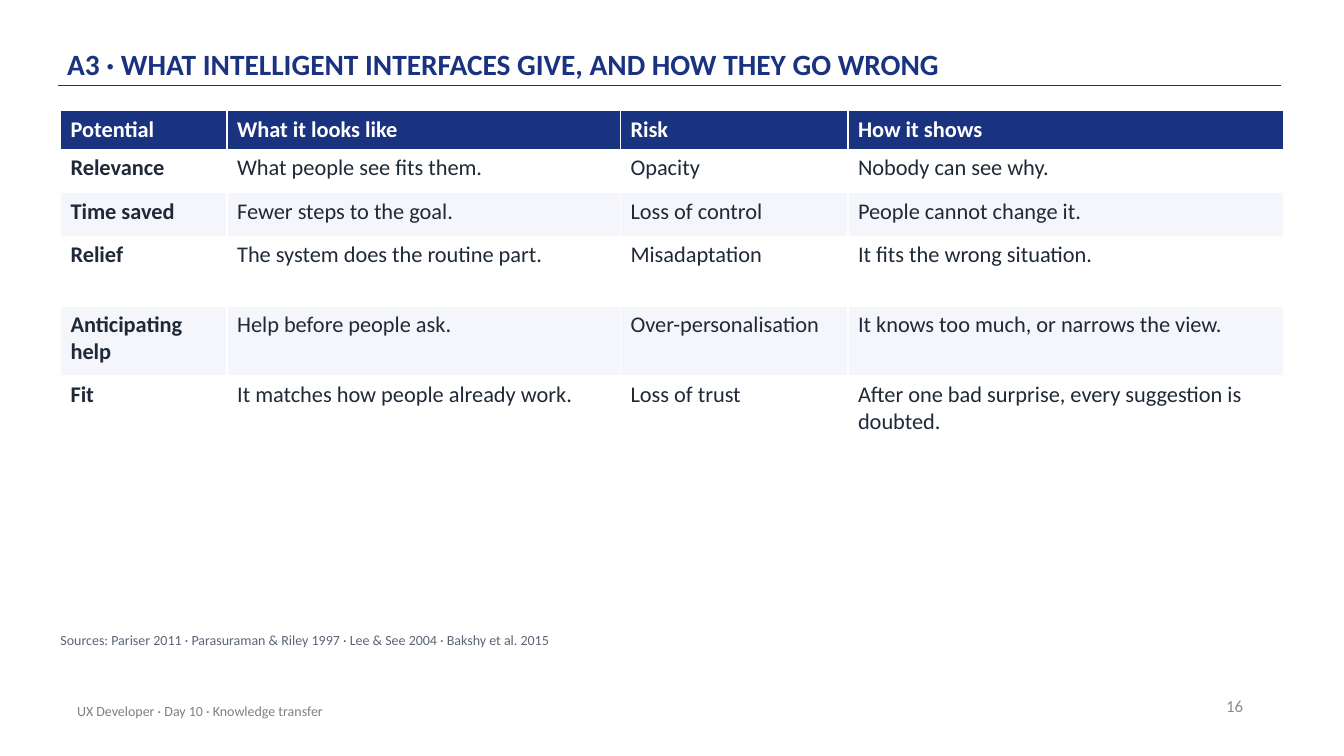
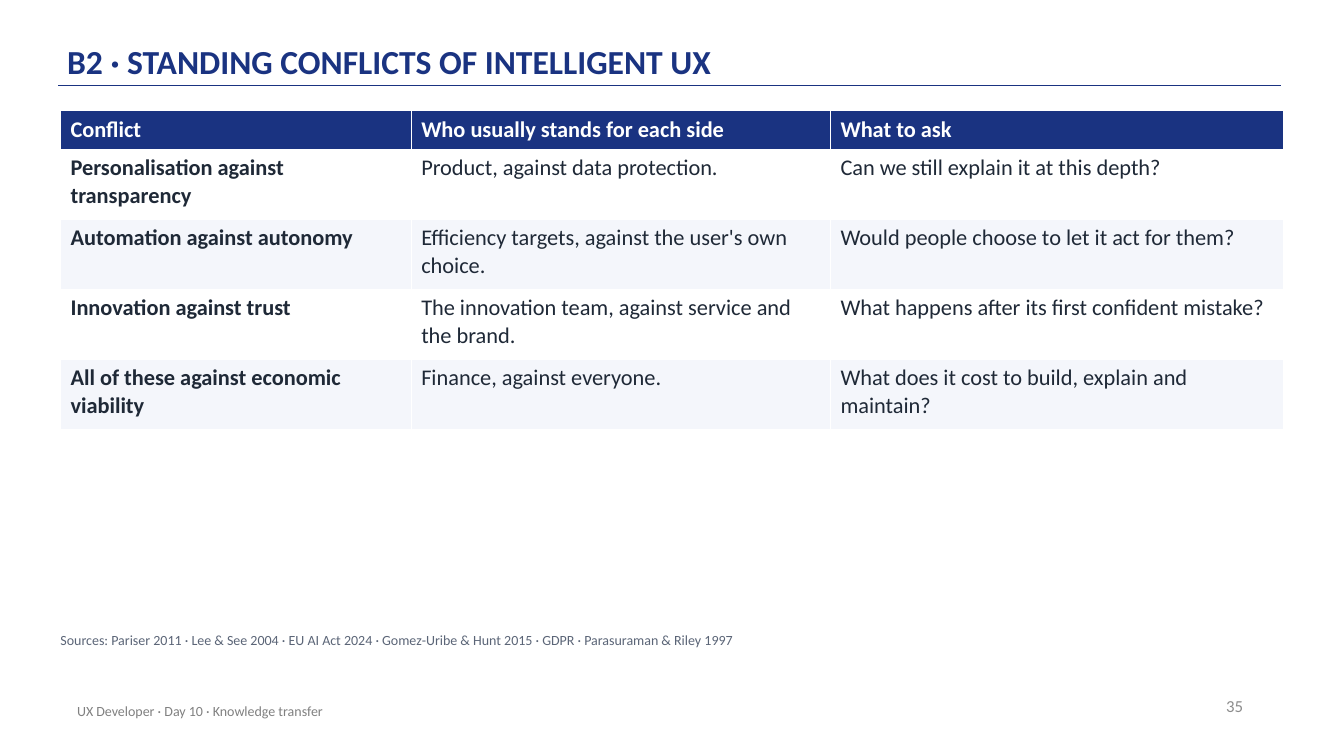
import dataclasses
import typing

import lxml.etree
import pptx
import pptx.dml.color
import pptx.enum.shapes
import pptx.enum.text
import pptx.oxml.ns
import pptx.presentation
import pptx.slide
import pptx.text.text
import pptx.util

Pt = pptx.util.Pt
ALIGN = pptx.enum.text.PP_ALIGN
ANCHOR = pptx.enum.text.MSO_ANCHOR

COLOURS = {
    "navy": "1A3381",
    "white": "FFFFFF",
    "band": "F4F6FB",
    "ink": "1F2937",
    "source": "5B6577",
    "number": "8C8C8C",
    "footer": "808080",
}
FONT_NAME = "Calibri"
FOOTER = "UX Developer · Day 10 · Knowledge transfer"
HEADER_HEIGHT, SINGLE_ROW, DOUBLE_ROW = 27.5, 31, 50
TABLE_LEFT, TABLE_TOP = 43.2, 79.2


@dataclasses.dataclass(frozen=True)
class TextStyle:
    left: float
    top: float
    width: float
    height: float
    colour: str
    font: dict[str, typing.Any]
    frame: dict[str, typing.Any]
    paragraph: dict[str, typing.Any]


@dataclasses.dataclass(frozen=True)
class TableRow:
    height: float
    cells: tuple[str, ...]


@dataclasses.dataclass(frozen=True)
class TableSlide:
    title: str
    title_size: float
    number: str
    sources: str
    columns: tuple[float, ...]
    header: tuple[str, ...]
    rows: tuple[TableRow, ...]


NO_SIDE_INSETS = {"margin_left": 0, "margin_right": 0}
STYLES = {
    "title": TextStyle(
        48, 8.6, 792, 52, "navy", {"bold": True},
        {"vertical_anchor": ANCHOR.BOTTOM, "margin_top": Pt(2.2),
         "margin_bottom": Pt(2.2), **NO_SIDE_INSETS},
        {"line_spacing": 0.9}),
    "number": TextStyle(
        679, 489.6, 216, 28.8, "number", {"size": Pt(12)},
        {"vertical_anchor": ANCHOR.MIDDLE}, {"alignment": ALIGN.RIGHT}),
    "footer": TextStyle(
        48, 493.2, 482.4, 28.8, "footer", {"size": Pt(10)},
        {"vertical_anchor": ANCHOR.MIDDLE}, {}),
    "sources": TextStyle(
        TABLE_LEFT, 451.4, 871.2, 21.6, "source", {"size": Pt(10)},
        {"margin_top": 0, "margin_bottom": 0, **NO_SIDE_INSETS},
        {"space_after": Pt(6)}),
}

SLIDES = (
    TableSlide(
        "A3 · WHAT INTELLIGENT INTERFACES GIVE, AND HOW THEY GO WRONG", 21, "16",
        "Sources: Pariser 2011 · Parasuraman & Riley 1997 · Lee & See 2004 · Bakshy et al. 2015",
        (119, 281, 162.5, 311.5),
        ("Potential", "What it looks like", "Risk", "How it shows"),
        (
            TableRow(SINGLE_ROW, ("Relevance", "What people see fits them.",
                                  "Opacity", "Nobody can see why.")),
            TableRow(SINGLE_ROW, ("Time saved", "Fewer steps to the goal.",
                                  "Loss of control", "People cannot change it.")),
            TableRow(DOUBLE_ROW, ("Relief", "The system does the routine part.",
                                  "Misadaptation", "It fits the wrong situation.")),
            TableRow(DOUBLE_ROW, ("Anticipating help", "Help before people ask.",
                                  "Over-personalisation",
                                  "It knows too much, or narrows the view.")),
            TableRow(DOUBLE_ROW, ("Fit", "It matches how people already work.",
                                  "Loss of trust",
                                  "After one bad surprise, every suggestion is doubted.")),
        )),
    TableSlide(
        "B2 · STANDING CONFLICTS OF INTELLIGENT UX", 24, "35",
        "Sources: Pariser 2011 · Lee & See 2004 · EU AI Act 2024 · Gomez-Uribe & Hunt 2015"
        " · GDPR · Parasuraman & Riley 1997",
        (250.5, 299.5, 323.5),
        ("Conflict", "Who usually stands for each side", "What to ask"),
        (
            TableRow(DOUBLE_ROW, ("Personalisation against transparency",
                                  "Product, against data protection.",
                                  "Can we still explain it at this depth?")),
            TableRow(DOUBLE_ROW, ("Automation against autonomy",
                                  "Efficiency targets, against the user's own choice.",
                                  "Would people choose to let it act for them?")),
            TableRow(DOUBLE_ROW, ("Innovation against trust",
                                  "The innovation team, against service and the brand.",
                                  "What happens after its first confident mistake?")),
            TableRow(DOUBLE_ROW, ("All of these against economic viability",
                                  "Finance, against everyone.",
                                  "What does it cost to build, explain and maintain?")),
        )),
)


def colour(name: str) -> pptx.dml.color.RGBColor:
    return pptx.dml.color.RGBColor.from_string(COLOURS[name])


def apply_format(target: typing.Any, values: dict[str, typing.Any]) -> None:
    for attribute, value in values.items():
        setattr(target, attribute, value)


def write_text(paragraph: pptx.text.text._Paragraph, text: str,
               colour_name: str, font: dict[str, typing.Any]) -> None:
    run = paragraph.add_run()
    run.text = text
    apply_format(run.font, {"name": FONT_NAME, **font})
    run.font.color.rgb = colour(colour_name)


def add_text(slide: pptx.slide.Slide, text: str, style: TextStyle,
             **font: typing.Any) -> None:
    shape = slide.shapes.add_textbox(
        Pt(style.left), Pt(style.top), Pt(style.width), Pt(style.height))
    apply_format(shape.text_frame, {"word_wrap": True, **style.frame})
    paragraph = shape.text_frame.paragraphs[0]
    apply_format(paragraph, style.paragraph)
    write_text(paragraph, text, style.colour, {**style.font, **font})


def add_title_rule(slide: pptx.slide.Slide) -> None:
    connector = slide.shapes.add_connector(
        pptx.enum.shapes.MSO_CONNECTOR.STRAIGHT,
        Pt(41.8), Pt(61.2), Pt(915.1), Pt(61.2))
    connector.line.color.rgb = colour("navy")
    connector.line.width = Pt(1)
    lxml.etree.SubElement(
        connector._element.spPr, pptx.oxml.ns.qn("a:effectLst"))


def add_table(slide: pptx.slide.Slide, content: TableSlide) -> None:
    rows = (TableRow(HEADER_HEIGHT, content.header), *content.rows)
    table = slide.shapes.add_table(
        len(rows), len(content.columns), Pt(TABLE_LEFT), Pt(TABLE_TOP),
        Pt(sum(content.columns)), Pt(sum(row.height for row in rows))).table
    for column, width in zip(table.columns, content.columns):
        column.width = Pt(width)
    for row_index, row in enumerate(rows):
        table.rows[row_index].height = Pt(row.height)
        is_header = row_index == 0
        fill = "navy" if is_header else "white" if row_index % 2 else "band"
        for column_index, text in enumerate(row.cells):
            cell = table.cell(row_index, column_index)
            cell.fill.solid()
            cell.fill.fore_color.rgb = colour(fill)
            write_text(cell.text_frame.paragraphs[0], text,
                       "white" if is_header else "ink",
                       {"size": Pt(16), "bold": is_header or column_index == 0})


def add_table_slide(presentation: pptx.presentation.Presentation,
                    content: TableSlide) -> None:
    slide = presentation.slides.add_slide(presentation.slide_layouts[6])
    add_title_rule(slide)
    add_text(slide, content.title, STYLES["title"], size=Pt(content.title_size))
    add_text(slide, content.number, STYLES["number"])
    add_text(slide, FOOTER, STYLES["footer"])
    add_table(slide, content)
    add_text(slide, content.sources, STYLES["sources"])


def main() -> None:
    presentation = pptx.Presentation()
    apply_format(presentation, {"slide_width": Pt(960), "slide_height": Pt(540)})
    for content in SLIDES:
        add_table_slide(presentation, content)
    presentation.save("out.pptx")


if __name__ == "__main__":
    main()
